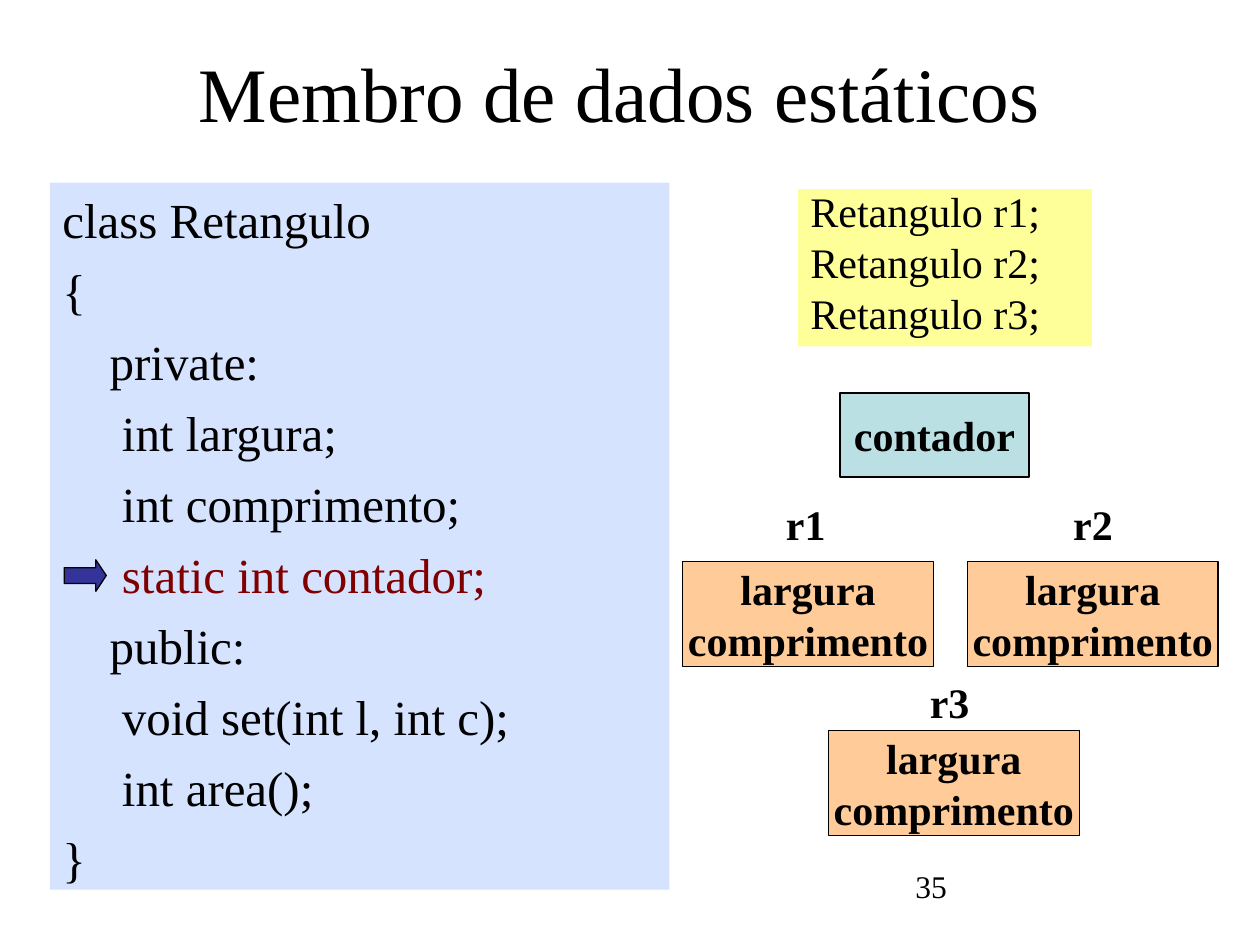
from dataclasses import dataclass

from pptx import Presentation
from pptx.dml.color import RGBColor
from pptx.enum.shapes import MSO_SHAPE
from pptx.enum.text import MSO_ANCHOR, MSO_AUTO_SIZE, PP_ALIGN
from pptx.util import Pt
from lxml.etree import SubElement


@dataclass(frozen=True)
class Theme:
    font: str = "Times New Roman"
    ink: str = "000000"
    accent: str = "800000"
    code_fill: str = "D5E3FF"
    usage_fill: str = "FFFF99"
    object_fill: str = "FFCC99"
    counter_fill: str = "BBE0E3"
    arrow_fill: str = "333399"
    title_size: float = 44
    code_size: float = 28
    text_size: float = 24
    number_size: float = 18


@dataclass(frozen=True)
class Box:
    x: float
    y: float
    w: float
    h: float


@dataclass(frozen=True)
class Instance:
    name: str
    label: Box
    box: Box


T = Theme()
OBJECT_W, OBJECT_H = 143.3, 59.8
LABEL_W, LABEL_H = 37.4, 36.7
FIELDS = ["largura", "comprimento"]

CODE = [
    [("class Retangulo", T.ink)],
    [("{", T.ink)],
    [("\tprivate:", T.ink)],
    [("\t int largura;", T.ink)],
    [("\t int comprimento;", T.ink)],
    [("\t ", T.ink), ("static int contador;", T.accent)],
    [("\tpublic:", T.ink)],
    [("\t void set(int l, int c);", T.ink)],
    [("\t int area();", T.ink)],
    [("}", T.ink)],
]
USAGE = [[(f"Retangulo r{i};", T.ink)] for i in (1, 2, 3)]


def instance(name: str, label_x: float, label_y: float, x: float, y: float) -> Instance:
    return Instance(name, Box(label_x, label_y, LABEL_W, LABEL_H), Box(x, y, OBJECT_W, OBJECT_H))


INSTANCES = [
    instance("r1", 442, 281.5, 390.1, 321),
    instance("r2", 606.2, 281.5, 552.8, 321),
    instance("r3", 524.2, 383.3, 473.4, 417.6),
]


def color(value: str) -> RGBColor:
    return RGBColor.from_string(value)


def place(sp, box: Box) -> None:
    sp.left, sp.top, sp.width, sp.height = Pt(box.x), Pt(box.y), Pt(box.w), Pt(box.h)


def add_text(p, text: str, size: float, ink: str = T.ink, bold: bool = False) -> None:
    r = p.add_run()
    r.text = text
    r.font.name = T.font
    r.font.size = Pt(size)
    r.font.bold = bold
    r.font.color.rgb = color(ink)


def add_shape(s, kind, box: Box, fill: str, outlined: bool = True):
    sp = s.shapes.add_shape(kind, Pt(box.x), Pt(box.y), Pt(box.w), Pt(box.h))
    sp.shadow.inherit = False
    sp.fill.solid()
    sp.fill.fore_color.rgb = color(fill)
    if outlined:
        sp.line.color.rgb = color(T.ink)
        sp.line.width = Pt(0.75)
    else:
        sp.line.fill.background()
    return sp


def fill_code(sp, lines: list, size: float, gap: float, spacing: float) -> None:
    tf = sp.text_frame
    tf.word_wrap = True
    tf.auto_size = MSO_AUTO_SIZE.NONE
    tf.vertical_anchor = MSO_ANCHOR.TOP
    tf.margin_top = Pt(3.6)
    for i, line in enumerate(lines):
        p = tf.add_paragraph() if i else tf.paragraphs[0]
        p.alignment = PP_ALIGN.LEFT
        p.line_spacing = spacing
        p.space_before = Pt(gap if i else 0)
        pPr = p._p.get_or_add_pPr()
        pPr.set("marL", str(Pt(27)))
        pPr.set("indent", str(-Pt(27)))
        SubElement(pPr, "{http://schemas.openxmlformats.org/drawingml/2006/main}buNone")
        for text, ink in line:
            add_text(p, text, size, ink)


def add_member_box(s, box: Box, fill: str, lines: list[str]) -> None:
    tf = add_shape(s, MSO_SHAPE.RECTANGLE, box, fill).text_frame
    tf.word_wrap = False
    tf.vertical_anchor = MSO_ANCHOR.MIDDLE
    for i, line in enumerate(lines):
        p = tf.add_paragraph() if i else tf.paragraphs[0]
        p.alignment = PP_ALIGN.CENTER
        add_text(p, line, T.text_size, bold=True)


def add_label(s, box: Box, text: str, size: float, bold: bool) -> None:
    sp = s.shapes.add_textbox(Pt(box.x), Pt(box.y), Pt(box.w), Pt(box.h))
    tf = sp.text_frame
    tf.word_wrap = not bold
    add_text(tf.paragraphs[0], text, size, bold=bold)


def main() -> None:
    prs = Presentation()
    prs.slide_width, prs.slide_height = Pt(720), Pt(540)
    s = prs.slides.add_slide(prs.slide_layouts[1])

    title, code = s.placeholders
    place(title, Box(30, 27.4, 648, 50.4))
    tf = title.text_frame
    tf.auto_size = MSO_AUTO_SIZE.NONE
    tf.vertical_anchor = MSO_ANCHOR.MIDDLE
    tf.paragraphs[0].alignment = PP_ALIGN.CENTER
    add_text(tf.paragraphs[0], "Membro de dados estáticos", T.title_size)

    place(code, Box(28.5, 104.4, 354, 404))
    code.fill.solid()
    code.fill.fore_color.rgb = color(T.code_fill)
    fill_code(code, CODE, T.code_size, 7, 1.0)

    usage = add_shape(s, MSO_SHAPE.RECTANGLE, Box(456, 108, 168, 90), T.usage_fill, False)
    fill_code(usage, USAGE, T.text_size, 6, 0.8)

    arrow = add_shape(s, MSO_SHAPE.RIGHT_ARROW, Box(36.7, 319.9, 24, 18), T.arrow_fill)
    arrow.adjustments[0], arrow.adjustments[1] = 0.5, 0.33

    add_member_box(s, Box(480, 224.6, 108, 48), T.counter_fill, ["contador"])
    for item in INSTANCES:
        add_member_box(s, item.box, T.object_fill, FIELDS)
        add_label(s, item.label, item.name, T.text_size, True)

    add_label(s, Box(516, 492, 168, 37.4), "35", T.number_size, False)
    prs.save("out.pptx")


if __name__ == "__main__":
    main()
